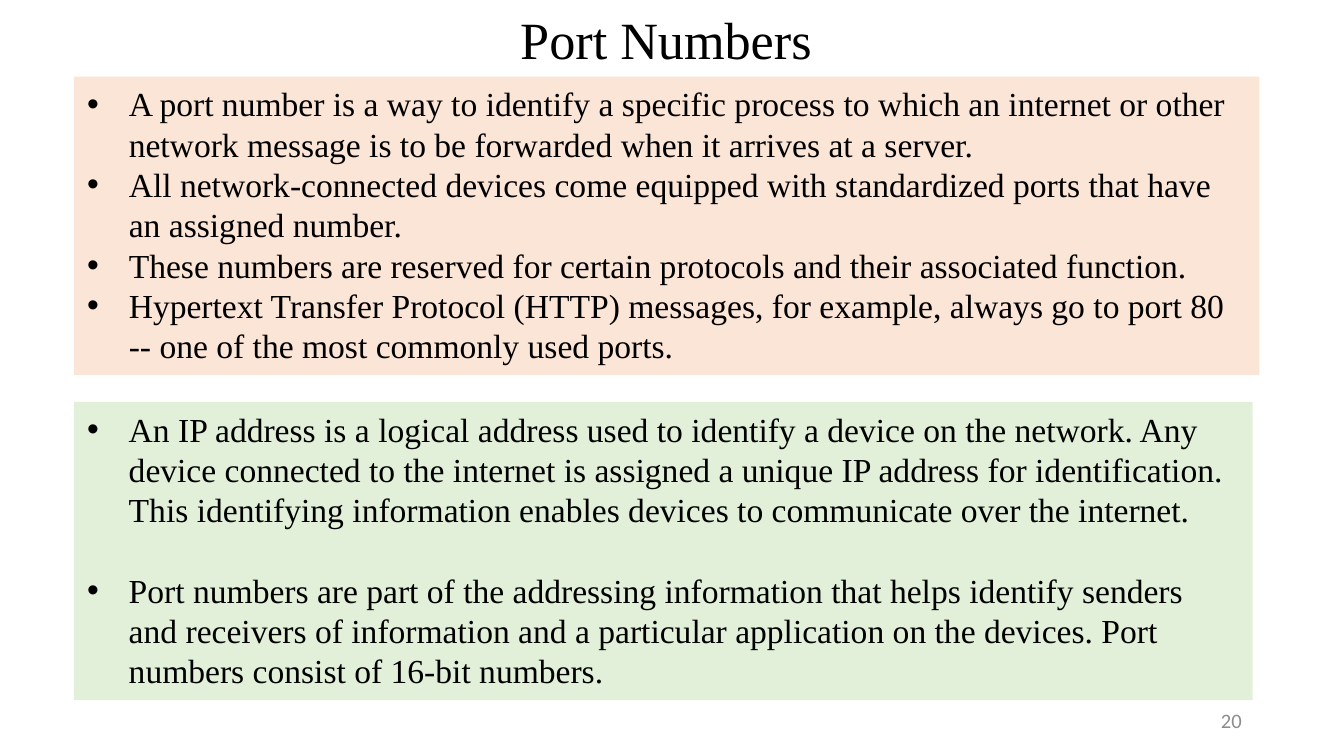
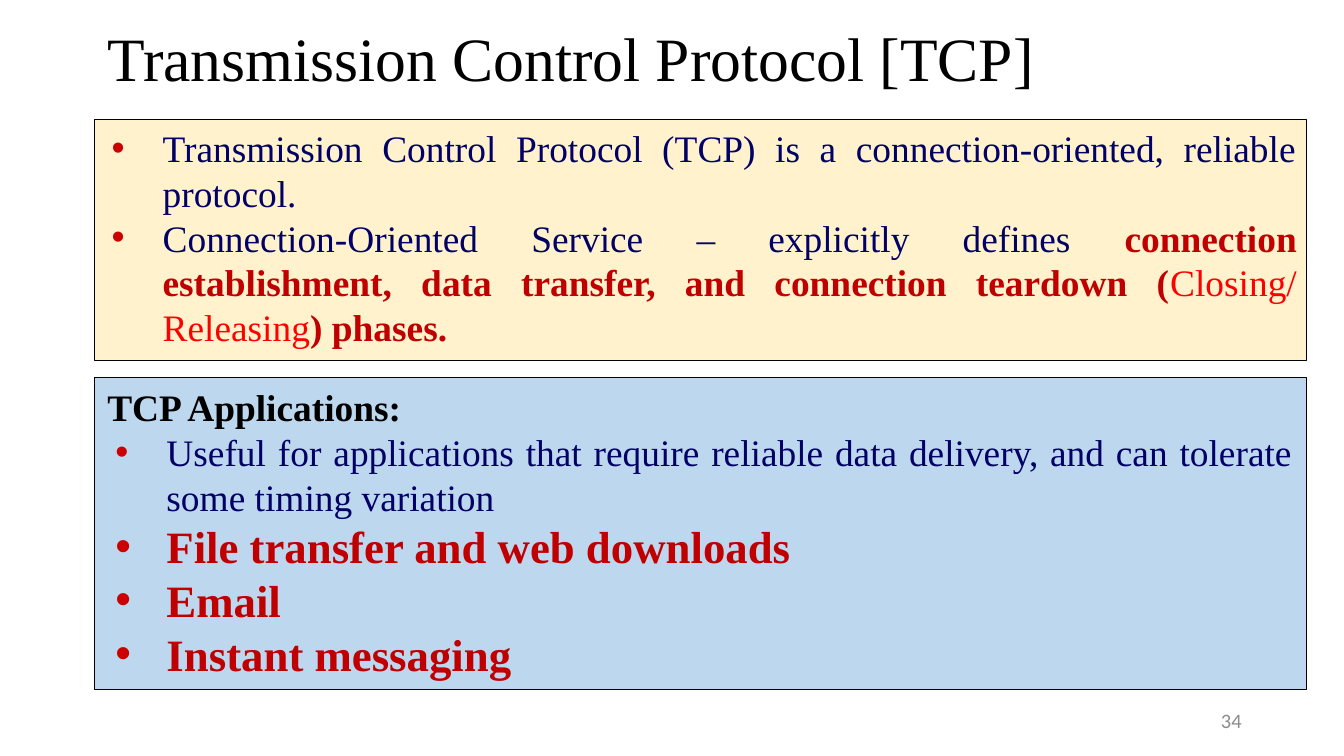
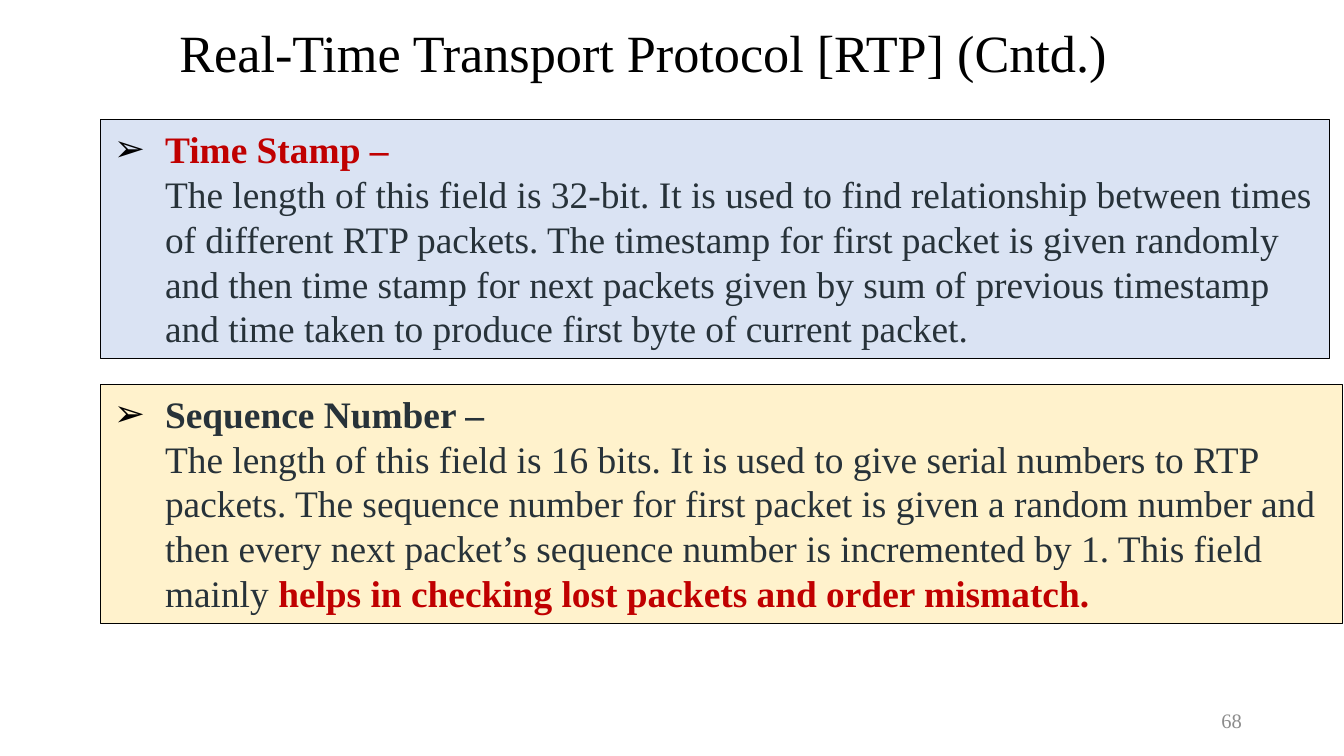
import pptx
import pptx.util
import pptx.dml.color
import pptx.enum.shapes
import pptx.enum.text
import pptx.oxml.ns
import lxml.etree

Inches = pptx.util.Inches
Align = pptx.enum.text.PP_ALIGN
Anchor = pptx.enum.text.MSO_ANCHOR

COLORS = {
    "black": "000000", "number": "8C8C8C", "navy": "000066",
    "slate": "273239", "crimson": "C00000", "red": "FF0000",
    "bullet": "CC0000", "peach": "FBE5D6", "green": "E2F0D9",
    "cream": "FFF2CC", "sky": "BDD7EE", "lavender": "DAE3F3",
}
SERIF = "Times New Roman"
BULLET_FONT = "Arial"
WIDE_INSETS = (0.1, 0.05)
SLIM_INSETS = (0.07, 0.04)


def rgb(name):
    return pptx.dml.color.RGBColor.from_string(COLORS[name])


def add_run(paragraph, text, size, color="black", bold=False, font=SERIF):
    run = paragraph.add_run()
    run.text = text
    run.font.name = font
    run.font.size = pptx.util.Pt(size)
    run.font.bold = bold
    run.font.color.rgb = rgb(color)


def set_bullet(paragraph, character, color, margin, hanging):
    properties = paragraph._p.get_or_add_pPr()
    properties.set("marL", str(Inches(margin)))
    properties.set("indent", str(-Inches(hanging)))
    qn = pptx.oxml.ns.qn
    bullet_color = lxml.etree.SubElement(properties, qn("a:buClr"))
    lxml.etree.SubElement(bullet_color, qn("a:srgbClr"), val=COLORS[color])
    lxml.etree.SubElement(properties, qn("a:buFont"), typeface=BULLET_FONT)
    lxml.etree.SubElement(properties, qn("a:buChar"), char=character)


def prepare_frame(shape, insets, anchor):
    frame = shape.text_frame
    frame.word_wrap = True
    frame.vertical_anchor = anchor
    frame.margin_left = frame.margin_right = Inches(insets[0])
    frame.margin_top = frame.margin_bottom = Inches(insets[1])
    return frame


def add_line_of_text(slide, box, text, size, align=Align.CENTER, spacing=None, **style):
    """One single-paragraph text box, used for titles and slide numbers."""
    shape = slide.shapes.add_textbox(*map(Inches, box))
    paragraph = prepare_frame(shape, SLIM_INSETS, Anchor.MIDDLE).paragraphs[0]
    paragraph.alignment = align
    if spacing:
        paragraph.line_spacing = spacing
    add_run(paragraph, text, size, **style)


def add_slide(presentation, number, number_font="Calibri"):
    slide = presentation.slides.add_slide(presentation.slide_layouts[6])
    add_line_of_text(slide, (7.06, 5.21, 2.25, 0.3), number, 11, Align.RIGHT,
                     color="number", font=number_font)
    return slide


def add_panel(slide, box, fill, outlined=True, insets=WIDE_INSETS):
    """A coloured rectangle; returns its text frame."""
    shape = slide.shapes.add_shape(
        pptx.enum.shapes.MSO_SHAPE.RECTANGLE, *map(Inches, box))
    shape.shadow.inherit = False
    shape.fill.solid()
    shape.fill.fore_color.rgb = rgb(fill)
    if outlined:
        shape.line.color.rgb = rgb("black")
        shape.line.width = pptx.util.Pt(0.5)
    else:
        shape.line.fill.background()
    return prepare_frame(shape, insets, Anchor.TOP)


def next_paragraph(frame, align=Align.LEFT):
    paragraph = frame.paragraphs[0]
    if paragraph.runs:
        paragraph = frame.add_paragraph()
    paragraph.alignment = align
    return paragraph


def add_plain_bullets(frame, texts, gap=0):
    for index, text in enumerate(texts):
        paragraph = next_paragraph(frame)
        if index and gap:
            paragraph.space_before = pptx.util.Pt(gap)
        set_bullet(paragraph, "•", "black", 0.31, 0.31)
        add_run(paragraph, text, 18)


def add_justified_bullet(frame, runs, size=20):
    paragraph = next_paragraph(frame, Align.JUSTIFY)
    set_bullet(paragraph, "•", "bullet", 0.44, 0.38)
    for text, color, bold in runs:
        add_run(paragraph, text, size, color, bold)


def add_field(frame, heading, heading_color, runs):
    """An arrow bullet with a bold heading above its description."""
    paragraph = next_paragraph(frame)
    set_bullet(paragraph, "➢", "black", 0.38, 0.38)
    add_run(paragraph, heading, 20, heading_color, True)
    paragraph.add_line_break()
    for text, color, bold in runs:
        add_run(paragraph, text, 20, color, bold)


def build_port_numbers(presentation):
    slide = add_slide(presentation, "20")
    add_line_of_text(slide, (0.79, 0, 8.33, 0.57), "Port Numbers", 28)
    ports = add_panel(slide, (0.55, 0.57, 8.82, 2.22), "peach", outlined=False)
    add_plain_bullets(ports, [
        "A port number is a way to identify a specific process to which an internet or "
        "other network message is to be forwarded when it arrives at a server.",
        "All network-connected devices come equipped with standardized ports that have "
        "an assigned number.",
        "These numbers are reserved for certain protocols and their associated function.",
        "Hypertext Transfer Protocol (HTTP) messages, for example, always go to port 80 "
        "-- one of the most commonly used ports.",
    ])
    addresses = add_panel(slide, (0.55, 2.99, 8.77, 2.22), "green", outlined=False)
    add_plain_bullets(addresses, [
        "An IP address is a logical address used to identify a device on the network. "
        "Any device connected to the internet is assigned a unique IP address for "
        "identification. This identifying information enables devices to communicate "
        "over the internet.",
        "Port numbers are part of the addressing information that helps identify senders "
        "and receivers of information and a particular application on the devices. Port "
        "numbers consist of 16-bit numbers.",
    ], gap=21.6)


def build_tcp(presentation):
    slide = add_slide(presentation, "34")
    add_line_of_text(slide, (0, -0.01, 8.5, 0.94),
                     "Transmission Control Protocol [TCP]", 33, spacing=0.9)
    definition = add_panel(slide, (0.7, 0.89, 9.02, 1.79), "cream", insets=SLIM_INSETS)
    add_justified_bullet(definition, [
        ("Transmission Control Protocol (TCP) is a connection-oriented, reliable "
         "protocol.", "navy", False)])
    add_justified_bullet(definition, [
        ("Connection-Oriented Service – explicitly defines ", "navy", False),
        ("connection establishment, data transfer, and connection teardown (",
         "crimson", True),
        ("Closing/ Releasing", "red", False),
        (") phases.", "crimson", True)])

    applications = add_panel(slide, (0.7, 2.81, 9.02, 2.32), "sky")
    add_run(next_paragraph(applications), "TCP Applications:", 20, bold=True)
    add_justified_bullet(applications, [
        ("Useful for applications that require reliable data delivery, and can tolerate "
         "some timing variation", "navy", False)])
    for use in ("File transfer and web downloads", "Email", "Instant messaging"):
        add_justified_bullet(applications, [(use, "crimson", True)], size=24)


def build_rtp(presentation):
    slide = add_slide(presentation, "68", number_font=SERIF)
    add_line_of_text(slide, (0.85, 0.13, 7.87, 0.57),
                     "Real-Time Transport Protocol [RTP] (Cntd.)", 28, spacing=0.9)
    time_stamp = add_panel(slide, (0.75, 0.89, 9.14, 1.78), "lavender")
    add_field(time_stamp, "Time Stamp –", "crimson", [
        ("The length of this field is 32-bit. It is used to find relationship between "
         "times of different RTP packets. The timestamp for first packet is given "
         "randomly and then time stamp for next packets given by sum of previous "
         "timestamp and time taken to produce first byte of current packet.",
         "slate", False)])
    sequence = add_panel(slide, (0.75, 2.86, 9.24, 1.78), "cream")
    add_field(sequence, "Sequence Number –", "slate", [
        ("The length of this field is 16 bits. It is used to give serial numbers to RTP "
         "packets. The sequence number for first packet is given a random number and "
         "then every next packet’s sequence number is incremented by 1. This field "
         "mainly ", "slate", False),
        ("helps in checking lost packets and order mismatch.", "crimson", True)])


def main():
    presentation = pptx.Presentation()
    # Widescreen, 16 to 9
    presentation.slide_width = Inches(10)
    presentation.slide_height = Inches(10 * 9 / 16)
    build_port_numbers(presentation)
    build_tcp(presentation)
    build_rtp(presentation)
    presentation.save("out.pptx")


if __name__ == "__main__":
    main()
